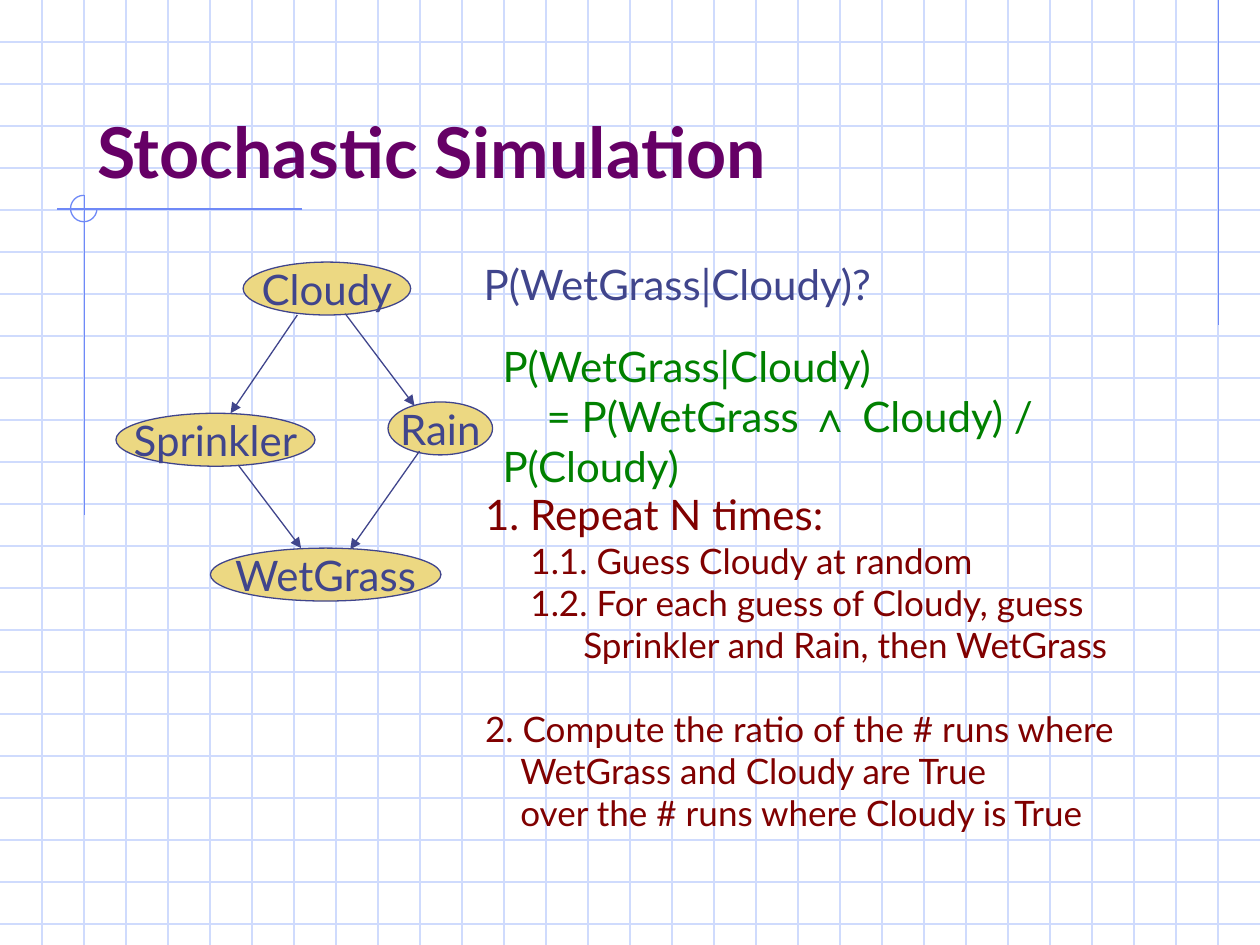
from dataclasses import dataclass

from lxml import etree
from pptx import Presentation
from pptx import util as u
from pptx.dml import color
from pptx.enum import shapes, text
from pptx.oxml import ns


@dataclass(frozen=True)
class Theme:
    grid: str = "CFDBFD"
    accent: str = "6F89F7"
    title: str = "660066"
    ink: str = "40458C"
    node: str = "ECD882"
    formula: str = "008000"
    steps: str = "800000"
    font: str = "Lato"
    symbol_font: str = "Arial"
    title_size: int = 40
    main_size: int = 24
    step_size: int = 20
    line_width: float = 0.75


@dataclass(frozen=True)
class Line:
    content: str
    size: int
    indent: float = 0
    before: int = 0


@dataclass(frozen=True)
class Node:
    label: str
    left: float
    top: float
    width: float


@dataclass(frozen=True)
class Edge:
    x1: float
    y1: float
    x2: float
    y2: float


THEME = Theme()
WIDTH, HEIGHT = 10, 7.5
GRID_STEP = 1 / 3
NODE_HEIGHT = 0.42

NODES = [
    Node("Cloudy", 1.93, 2.08, 1.33),
    Node("Sprinkler", 0.92, 3.28, 1.58),
    Node("Rain", 3.08, 3.19, 0.83),
    Node("WetGrass", 1.67, 4.35, 1.83),
]
EDGES = [
    Edge(2.36, 2.5, 1.83, 3.28),
    Edge(2.74, 2.49, 3.29, 3.22),
    Edge(1.89, 3.69, 2.39, 4.35),
    Edge(3.33, 3.58, 2.78, 4.36),
]
ACCENTS = [
    Edge(9.67, 0, 9.67, 2.58),
    Edge(2.4, 1.66, 0.45, 1.66),
    Edge(0.67, 1.55, 0.67, 4.09),
]
QUESTION = [Line("P(WetGrass|Cloudy)?", THEME.main_size)]
FORMULA = [
    Line("P(WetGrass|Cloudy)", THEME.main_size),
    Line("= P(WetGrass ∧ Cloudy) /", THEME.main_size, indent=0.35),
    Line("P(Cloudy)", THEME.main_size),
]
STEPS = [
    Line("1. Repeat N times:", THEME.main_size),
    Line("1.1. Guess Cloudy at random", THEME.step_size, indent=0.36),
    Line("1.2. For each guess of Cloudy, guess", THEME.step_size, indent=0.36),
    Line("Sprinkler and Rain, then WetGrass", THEME.step_size, indent=0.78),
    Line("2. Compute the ratio of the # runs where", THEME.step_size, before=24),
    Line("WetGrass and Cloudy are True", THEME.step_size, indent=0.28),
    Line("over the # runs where Cloudy is True", THEME.step_size, indent=0.28),
]


def rgb(value: str) -> color.RGBColor:
    return color.RGBColor.from_string(value)


def place(shape, left: float, top: float, width: float, height: float) -> None:
    shape.left, shape.top = u.Inches(left), u.Inches(top)
    shape.width, shape.height = u.Inches(width), u.Inches(height)


def write(frame, lines: list[Line], *, ink: str, bold: bool = False,
          wrap: bool = True, align=text.PP_ALIGN.LEFT,
          anchor=text.MSO_ANCHOR.TOP) -> None:
    frame.word_wrap = wrap
    frame.auto_size = text.MSO_AUTO_SIZE.NONE
    frame.vertical_anchor = anchor
    for index, line in enumerate(lines):
        paragraph = frame.add_paragraph() if index else frame.paragraphs[0]
        properties = paragraph._p.get_or_add_pPr()
        properties.set("marL", str(u.Inches(line.indent)))
        properties.set("indent", "0")
        etree.SubElement(properties, ns.qn("a:buNone"))
        paragraph.alignment = align
        paragraph.space_before = u.Pt(line.before)
        for piece in filter(None, line.content.partition("∧")):
            symbol = piece == "∧"
            run = paragraph.add_run()
            run.text = piece
            run.font.name = THEME.symbol_font if symbol else THEME.font
            run.font.size = u.Pt(line.size)
            run.font.bold = bold or symbol
            run.font.color.rgb = rgb(ink)


def draw_edge(slide, edge: Edge, ink: str, arrow: bool = False) -> None:
    connector = slide.shapes.add_connector(
        shapes.MSO_CONNECTOR.STRAIGHT,
        *map(u.Inches, (edge.x1, edge.y1, edge.x2, edge.y2)))
    connector.line.color.rgb = rgb(ink)
    connector.line.width = u.Pt(THEME.line_width)
    if arrow:
        outline = connector.line._get_or_add_ln()
        etree.SubElement(outline, ns.qn("a:tailEnd"), type="triangle")
    etree.SubElement(connector._element.spPr, ns.qn("a:effectLst"))


def draw_node(slide, node: Node) -> None:
    ellipse = slide.shapes.add_shape(
        shapes.MSO_SHAPE.OVAL,
        *map(u.Inches, (node.left, node.top, node.width, NODE_HEIGHT)))
    ellipse.shadow.inherit = False
    ellipse.fill.solid()
    ellipse.fill.fore_color.rgb = rgb(THEME.node)
    ellipse.line.color.rgb = rgb(THEME.ink)
    ellipse.line.width = u.Pt(THEME.line_width)
    write(ellipse.text_frame, [Line(node.label, THEME.main_size)],
          ink=THEME.ink, wrap=False, align=text.PP_ALIGN.CENTER,
          anchor=text.MSO_ANCHOR.MIDDLE)


def draw_backdrop(slide) -> None:
    for row in range(1, 23):
        y = row * GRID_STEP
        draw_edge(slide, Edge(0, y, WIDTH, y), THEME.grid)
    for column in range(1, 30):
        x = column * GRID_STEP
        draw_edge(slide, Edge(x, 0, x, HEIGHT), THEME.grid)
    for accent in ACCENTS:
        draw_edge(slide, accent, THEME.accent)
    ring = slide.shapes.add_shape(
        shapes.MSO_SHAPE.ARC, *map(u.Inches, (0.56, 1.55, 0.21, 0.21)))
    ring.adjustments[0], ring.adjustments[1] = 0, 162
    ring.shadow.inherit = False
    ring.fill.background()
    ring.line.color.rgb = rgb(THEME.accent)
    ring.line.width = u.Pt(THEME.line_width)


def main() -> None:
    deck = Presentation()
    deck.slide_width, deck.slide_height = u.Inches(WIDTH), u.Inches(HEIGHT)
    slide = deck.slides.add_slide(deck.slide_layouts[1])
    draw_backdrop(slide)

    title, steps = slide.placeholders
    for placeholder in (title, steps):
        slide.shapes._spTree.append(placeholder._element)
    place(title, 0.67, 0.33, 8.5, 1.25)
    write(title.text_frame, [Line("Stochastic Simulation", THEME.title_size)],
          ink=THEME.title, bold=True, anchor=text.MSO_ANCHOR.BOTTOM)
    place(steps, 3.75, 3.83, 5.58, 3.17)
    write(steps.text_frame, STEPS, ink=THEME.steps)

    for node in NODES:
        draw_node(slide, node)
    for edge in EDGES:
        draw_edge(slide, edge, THEME.ink, arrow=True)

    question = slide.shapes.add_textbox(
        *map(u.Inches, (3.74, 2, 3.51, 0.5)))
    write(question.text_frame, QUESTION, ink=THEME.ink)
    formula = slide.shapes.add_textbox(
        *map(u.Inches, (3.89, 2.65, 5.87, 0.9)))
    write(formula.text_frame, FORMULA, ink=THEME.formula)

    deck.save("out.pptx")


if __name__ == "__main__":
    main()
